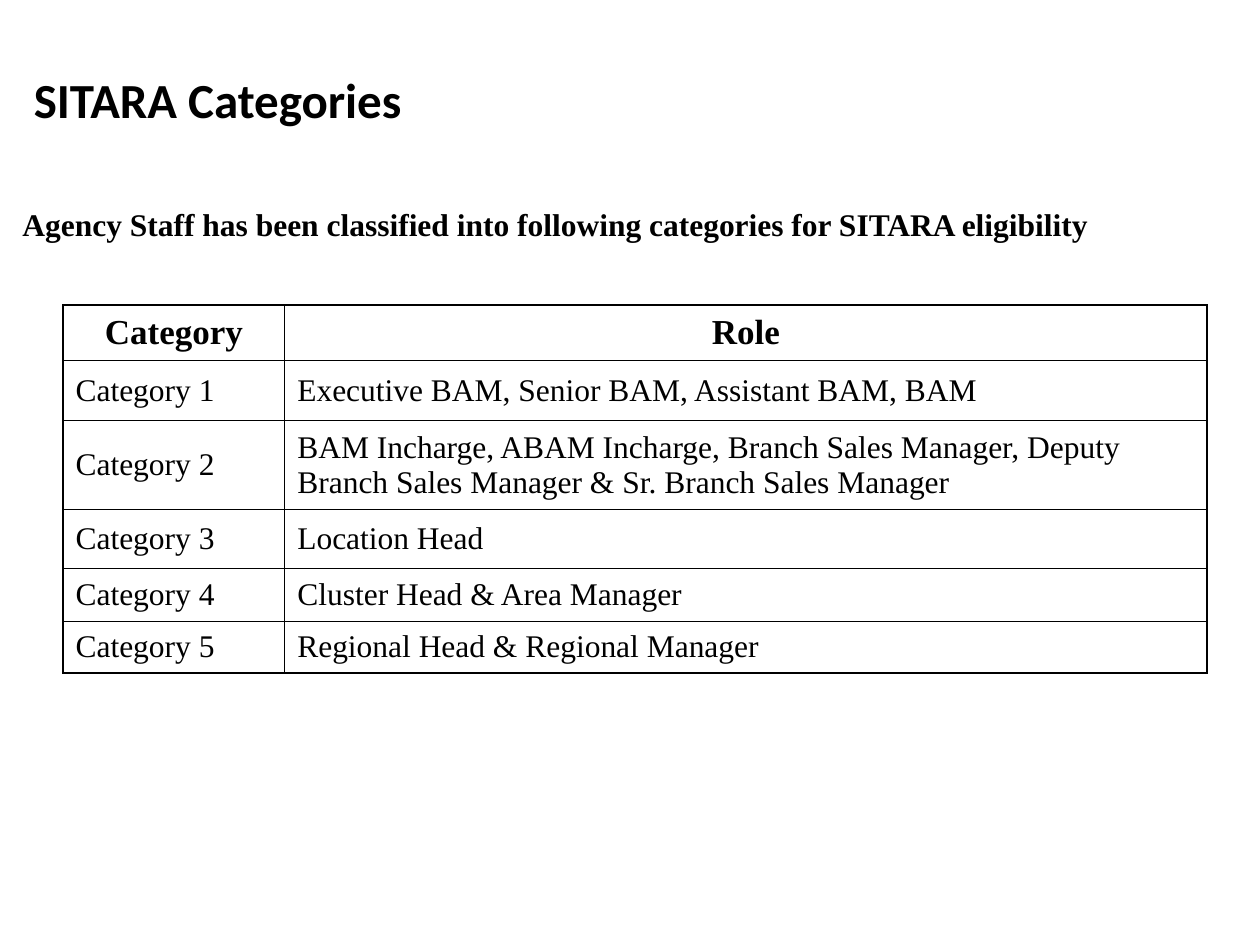
from dataclasses import dataclass

from lxml.etree import SubElement
from pptx import Presentation
from pptx.dml.color import RGBColor
from pptx.enum.text import MSO_ANCHOR as Anchor, PP_ALIGN as Align
from pptx.oxml.ns import qn
from pptx.slide import Slide
from pptx.util import Inches, Pt


def color(value):
    return RGBColor.from_string(value)


def grid(units):
    return Inches(units / 10)


@dataclass
class SlideWriter:
    page: Slide
    ink: str = "000000"
    head_font: str = "Calibri"
    body_font: str = "Times New Roman"
    thin: float = 0.45
    thick: float = 1.08

    def style(self, frame, size, font, bold, align=Align.LEFT):
        for para in frame.paragraphs:
            para.alignment = align
            for span in para.runs:
                span.font.name = font
                span.font.size = Pt(size)
                span.font.bold = bold
                span.font.color.rgb = color(self.ink)

    def text(self, wording, left, top, width, height, size, font):
        box = self.page.shapes.add_textbox(*map(grid, (left, top, width, height)))
        frame = box.text_frame
        frame.word_wrap = True
        frame.text = wording
        self.style(frame, size, font, True)

    def border(self, cell, side, points):
        properties = cell._tc.get_or_add_tcPr()
        line = SubElement(properties, qn(f"a:ln{side}"), w=str(Pt(points)))
        fill = SubElement(line, qn("a:solidFill"))
        SubElement(fill, qn("a:srgbClr"), val=self.ink)

    def table(self, rows, left, top, widths, heights):
        frame = self.page.shapes.add_table(
            len(rows), len(widths),
            *map(grid, (left, top, sum(widths), sum(heights))))
        table = frame.table
        table.horz_banding = False
        for column, width in zip(table.columns, widths):
            column.width = grid(width)
        for row, height in zip(table.rows, heights):
            row.height = grid(height)
        last_row, last_column = len(rows) - 1, len(widths) - 1
        for r, row in enumerate(rows):
            for c, wording in enumerate(row):
                cell = table.cell(r, c)
                cell.text = wording
                cell.vertical_anchor = Anchor.MIDDLE
                header = r == 0
                self.style(cell.text_frame, 20 if header else 18, self.body_font,
                           header, Align.CENTER if header else Align.LEFT)
                outer = {"L": c == 0, "R": c == last_column,
                         "T": header, "B": r == last_row}
                for side, is_outer in outer.items():
                    self.border(cell, side, self.thick if is_outer else self.thin)
                cell.fill.background()


def main():
    deck = Presentation()
    deck.slide_width, deck.slide_height = grid(100), grid(75)
    writer = SlideWriter(deck.slides.add_slide(deck.slide_layouts[6]))
    writer.text("SITARA Categories", 1.7, 5, 65, 5.7, 28, writer.head_font)
    writer.text(
        "Agency Staff has been classified into following categories for SITARA eligibility",
        0.8, 15.8, 95, 4, 18, writer.body_font)
    roles = [
        "Executive BAM, Senior BAM, Assistant BAM, BAM",
        "BAM Incharge, ABAM Incharge, Branch Sales Manager, "
        "Deputy Branch Sales Manager & Sr. Branch Sales Manager",
        "Location Head",
        "Cluster Head & Area Manager",
        "Regional Head & Regional Manager",
    ]
    rows = [("Category", "Role")]
    rows += [(f"Category {number}", role) for number, role in enumerate(roles, 1)]
    writer.table(rows, 5, 24.2, [17.6, 73.2], [4.4, 4.8, 7, 4.7, 4.2, 4.1])
    deck.save("out.pptx")


if __name__ == "__main__":
    main()
